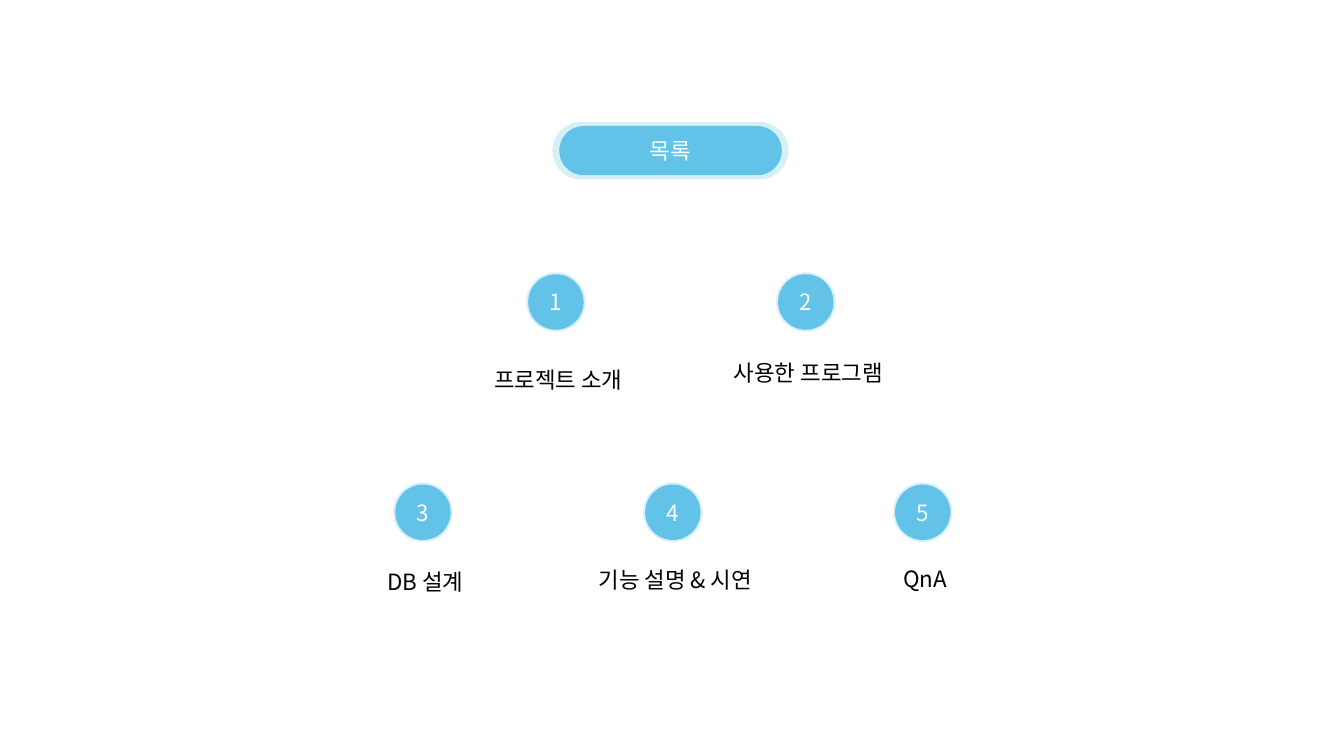
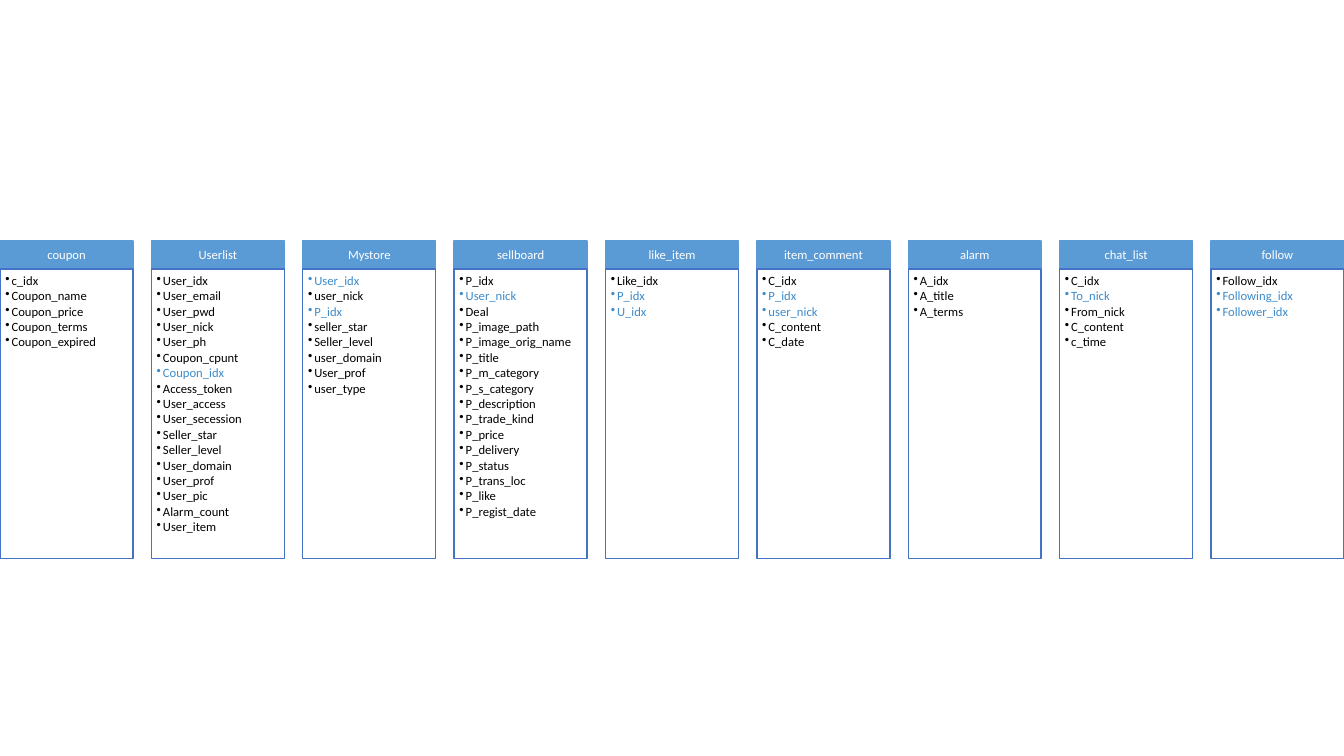
from lxml.etree import SubElement
from pptx import Presentation
from pptx.dml.color import RGBColor
from pptx.enum.shapes import MSO_SHAPE
from pptx.enum.text import MSO_ANCHOR, MSO_AUTO_SIZE, PP_ALIGN
from pptx.oxml.ns import qn
from pptx.util import Pt

COLORS = {
    "sky": "63C2E8",
    "header": "5B9BD5",
    "border": "4472C4",
    "foreign_key": "3D8BCB",
    "white": "FFFFFF",
    "black": "000000",
}
KOREAN_FONT = "Noto Sans CJK KR"
TABLE_FONT = "Calibri"


def add_block(slide, kind, left, top, width, height, fill, line=None, opacity=None):
    shape = slide.shapes.add_shape(kind, Pt(left), Pt(top), Pt(width), Pt(height))
    shape.shadow.inherit = False
    shape.fill.solid()
    shape.fill.fore_color.rgb = RGBColor.from_string(COLORS[fill])
    if opacity is not None:
        color = shape.fill._xPr.find(qn("a:solidFill"))[0]
        SubElement(color, qn("a:alpha"), val=str(opacity * 1000))
    if line:
        shape.line.color.rgb = RGBColor.from_string(COLORS[line])
        shape.line.width = Pt(1)
    else:
        shape.line.fill.background()
    frame = shape.text_frame
    frame.word_wrap = True
    frame.vertical_anchor = MSO_ANCHOR.MIDDLE
    frame.margin_left = frame.margin_right = frame.margin_top = frame.margin_bottom = 0
    return shape


def write(paragraph, text, font_name, size, color, align=PP_ALIGN.CENTER):
    paragraph.text = text
    paragraph.alignment = align
    for run in paragraph.runs:
        run.font.name = font_name
        run.font.size = Pt(size)
        run.font.color.rgb = RGBColor.from_string(COLORS[color])
        SubElement(run.font._element, qn("a:ea"), typeface=font_name)


presentation = Presentation()
presentation.slide_width = Pt(960)
presentation.slide_height = Pt(540)
blank = presentation.slide_layouts[6]

# Contents: title pill
slide = presentation.slides.add_slide(blank)
pill_halo = add_block(slide, MSO_SHAPE.ROUNDED_RECTANGLE, 394.6, 87, 168.6, 41.2, "sky", opacity=25)
pill = add_block(slide, MSO_SHAPE.ROUNDED_RECTANGLE, 399.5, 90, 159, 35.2, "sky")
pill_halo.adjustments[0] = pill.adjustments[0] = 0.5
write(pill.text_frame.paragraphs[0], "목록", KOREAN_FONT, 16, "white")

# Contents: numbered circles; each row has a first centre, a middle height and labels with their tops
HALO, CIRCLE, PITCH = 42.5, 39.6, 178.5
LABEL_WIDTH, LABEL_HEIGHT, LABEL_SHIFT = 162.6, 26.6, 1.8
rows = [
    (397.1, 215.7, [("프로젝트 소개", 257.8), ("사용한 프로그램", 253)]),
    (302.1, 365.9, [("DB 설계", 402), ("기능 설명 & 시연", 401.2), ("QnA", 399.8)]),
]
number = 0
for first_center, middle, labels in rows:
    for column, (label, label_top) in enumerate(labels):
        number += 1
        center = first_center + column * PITCH
        for size, opacity in ((HALO, 25), (CIRCLE, None)):
            circle = add_block(slide, MSO_SHAPE.OVAL, center - size / 2, middle - size / 2,
                               size, size, "sky", opacity=opacity)
        write(circle.text_frame.paragraphs[0], str(number), KOREAN_FONT, 16, "white")

        label_box = slide.shapes.add_textbox(Pt(center + LABEL_SHIFT - LABEL_WIDTH / 2), Pt(label_top),
                                             Pt(LABEL_WIDTH), Pt(LABEL_HEIGHT))
        label_box.text_frame.word_wrap = True
        label_box.text_frame.auto_size = MSO_AUTO_SIZE.SHAPE_TO_FIT_TEXT
        write(label_box.text_frame.paragraphs[0], label, KOREAN_FONT, 16, "black")

# Database design: name, fields, foreign keys
tables = [
    ("coupon", "c_idx Coupon_name Coupon_price Coupon_terms Coupon_expired", ""),
    ("Userlist", "User_idx User_email User_pwd User_nick User_ph Coupon_cpunt Coupon_idx "
     "Access_token User_access User_secession Seller_star Seller_level User_domain "
     "User_prof User_pic Alarm_count User_item", "Coupon_idx"),
    ("Mystore", "User_idx user_nick P_idx seller_star Seller_level user_domain User_prof user_type",
     "User_idx P_idx"),
    ("sellboard", "P_idx User_nick Deal P_image_path P_image_orig_name P_title P_m_category "
     "P_s_category P_description P_trade_kind P_price P_delivery P_status P_trans_loc "
     "P_like P_regist_date", "User_nick"),
    ("like_item", "Like_idx P_idx U_idx", "P_idx U_idx"),
    ("item_comment", "C_idx P_idx user_nick C_content C_date", "P_idx user_nick"),
    ("alarm", "A_idx A_title A_terms", ""),
    ("chat_list", "C_idx To_nick From_nick C_content c_time", "To_nick"),
    ("follow", "Follow_idx Following_idx Follower_idx", "Following_idx Follower_idx"),
]
TABLE_WIDTH, HEADER_TOP, HEADER_HEIGHT, BODY_HEIGHT = 95, 172, 20.2, 206.6
table_pitch = (960 - TABLE_WIDTH) / (len(tables) - 1)

slide = presentation.slides.add_slide(blank)
for index, (name, fields, foreign_keys) in enumerate(tables):
    left = index * table_pitch
    header = add_block(slide, MSO_SHAPE.RECTANGLE, left, HEADER_TOP, TABLE_WIDTH, HEADER_HEIGHT,
                       "header", line="header")
    write(header.text_frame.paragraphs[0], name, TABLE_FONT, 9, "white")
    header.text_frame.paragraphs[0].line_spacing = 0.9

    body = add_block(slide, MSO_SHAPE.RECTANGLE, left, HEADER_TOP + HEADER_HEIGHT, TABLE_WIDTH,
                     BODY_HEIGHT, "white", line="border")
    frame = body.text_frame
    frame.vertical_anchor = MSO_ANCHOR.TOP
    frame.margin_left = frame.margin_top = Pt(3.8)
    frame.margin_right = Pt(5)
    frame.margin_bottom = Pt(5.8)
    for position, field in enumerate(fields.split()):
        paragraph = frame.add_paragraph() if position else frame.paragraphs[0]
        color = "foreign_key" if field in foreign_keys.split() else "black"
        properties = paragraph._p.get_or_add_pPr()
        properties.set("marL", str(Pt(4.5)))
        properties.set("indent", str(-Pt(4.5)))
        SubElement(properties, qn("a:buChar"), char="•")
        write(paragraph, field, TABLE_FONT, 9, color, PP_ALIGN.LEFT)
        paragraph.level = 1
        paragraph.line_spacing = 0.9
        paragraph.space_after = Pt(1.25)

presentation.save("out.pptx")
